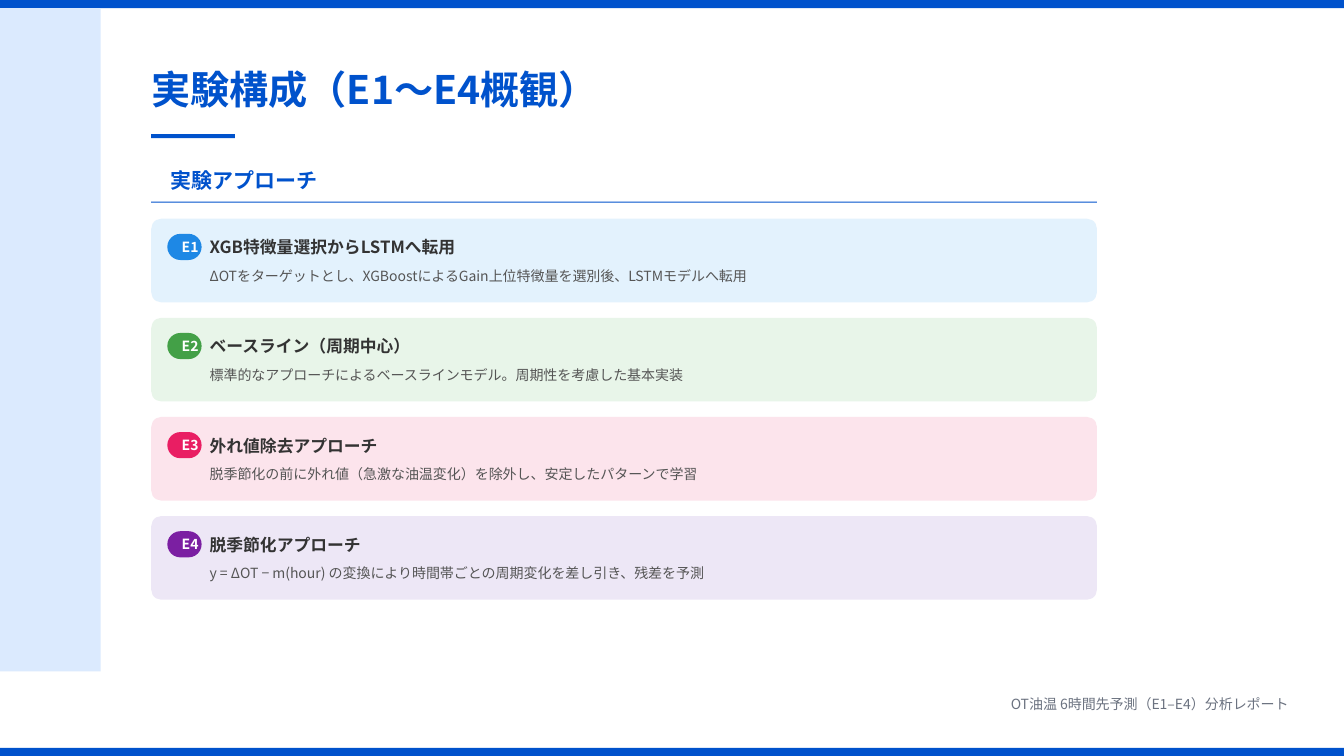
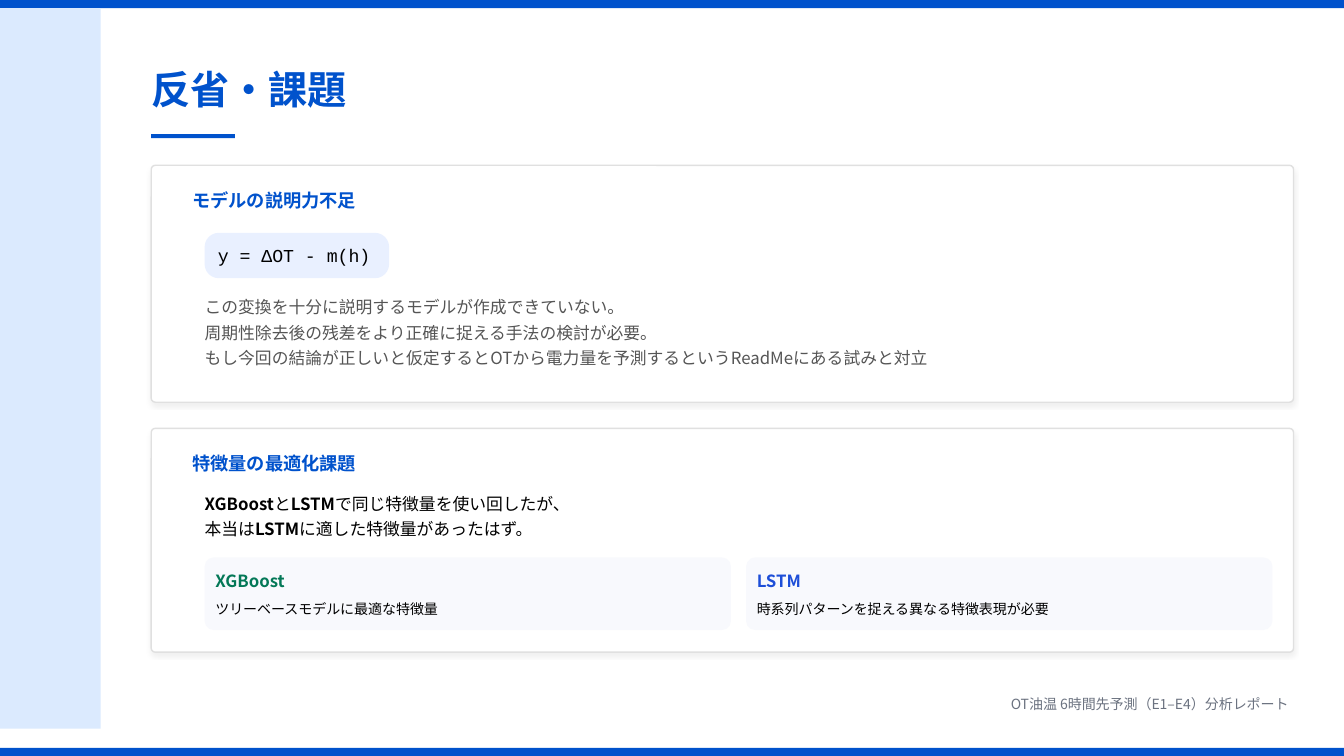
from lxml.etree import SubElement
from pptx import Presentation
from pptx.dml.color import RGBColor
from pptx.enum.shapes import MSO_SHAPE as Shape
from pptx.enum.text import MSO_ANCHOR as Anchor, PP_ALIGN as Align
from pptx.oxml.ns import qn
from pptx.util import Inches, Pt

WIDTH, HEIGHT = 13.33, 7.5
BAND, LEFT = 0.08, 1.5
BLUE, PALE_BLUE, GRAY, BLACK, WHITE = "0052CC", "DBEAFE", "555555", "000000", "FFFFFF"
SANS, MONO = "Noto Sans CJK JP", "Courier New"
FOOTER = "OT油温 6時間先予測（E1–E4）分析レポート"

EXPERIMENTS = [
    ("E1", "XGB特徴量選択からLSTMへ転用",
     "ΔOTをターゲットとし、XGBoostによるGain上位特徴量を選別後、LSTMモデルへ転用", "E3F2FD", "1E88E5"),
    ("E2", "ベースライン（周期中心）",
     "標準的なアプローチによるベースラインモデル。周期性を考慮した基本実装", "E8F5E9", "43A047"),
    ("E3", "外れ値除去アプローチ",
     "脱季節化の前に外れ値（急激な油温変化）を除外し、安定したパターンで学習", "FCE4EC", "E91E63"),
    ("E4", "脱季節化アプローチ",
     "y = ΔOT − m(hour) の変換により時間帯ごとの周期変化を差し引き、残差を予測", "EDE7F6", "7B1FA2"),
]
ISSUES = [("モデルの説明力不足", 1.64, 2.35), ("特徴量の最適化課題", 4.25, 2.22)]
FORMULA = "y = ΔOT - m(h)"
LIMITS = [
    "この変換を十分に説明するモデルが作成できていない。",
    "周期性除去後の残差をより正確に捉える手法の検討が必要。",
    "もし今回の結論が正しいと仮定するとOTから電力量を予測するというReadMeにある試みと対立",
]
FEATURE_NOTES = [
    [("XGBoost", True), ("と", False), ("LSTM", True), ("で同じ特徴量を使い回したが、", False)],
    [("本当は", False), ("LSTM", True), ("に適した特徴量があったはず。", False)],
]
MODELS = [
    ("XGBoost", "ツリーベースモデルに最適な特徴量", "047857"),
    ("LSTM", "時系列パターンを捉える異なる特徴表現が必要", "1D4ED8"),
]


def color(value):
    """Turn a hex string into a colour."""
    return RGBColor.from_string(value)


def add_box(page, left, top, width, height, fill, radius=0):
    """Add a plain filled rectangle, rounded by a radius in inches."""
    kind = Shape.ROUNDED_RECTANGLE if radius else Shape.RECTANGLE
    box = page.shapes.add_shape(kind, Inches(left), Inches(top), Inches(width), Inches(height))
    if radius:
        box.adjustments[0] = radius / min(width, height)
    box.shadow.inherit = False
    box.fill.solid()
    box.fill.fore_color.rgb = color(fill)
    box.line.fill.background()
    return box


def write(box, paras, inset=0, anchor=Anchor.MIDDLE):
    """Fill a shape with (content, style) paragraphs; content is text or (text, bold) runs."""
    frame = box.text_frame
    frame.word_wrap = True
    frame.vertical_anchor = anchor
    frame.margin_left = Inches(inset)
    frame.margin_right = frame.margin_top = frame.margin_bottom = 0
    for index, (content, style) in enumerate(paras):
        para = frame.add_paragraph() if index else frame.paragraphs[0]
        para.alignment = style.get("align", Align.LEFT)
        para.space_after = Pt(style.get("after", 0))
        if "leading" in style:
            para.line_spacing = Pt(style["leading"])
        font = para.font
        font.size = Pt(style["size"])
        font.name = style.get("name", SANS)
        font.color.rgb = color(style["ink"])
        SubElement(para._p.pPr.find(qn("a:defRPr")), qn("a:ea"), typeface=SANS)
        if isinstance(content, str):
            font.bold = style.get("bold", False)
            para.add_run().text = content
        else:
            for text, bold in content:
                span = para.add_run()
                span.text = text
                span.font.bold = bold


def add_text(page, left, top, width, height, paras, anchor=Anchor.MIDDLE):
    """Add a text box without margins."""
    box = page.shapes.add_textbox(Inches(left), Inches(top), Inches(width), Inches(height))
    write(box, paras, anchor=anchor)


def add_soft_shadow(box):
    """Give a shape a faint shadow below it."""
    effects = box._element.spPr.find(qn("a:effectLst"))
    shadow = SubElement(effects, qn("a:outerShdw"), blurRad=str(Pt(3)), dist=str(Pt(2)),
                        dir="5400000", algn="ctr", rotWithShape="0")
    tint = SubElement(shadow, qn("a:srgbClr"), val=BLACK)
    SubElement(tint, qn("a:alpha"), val="5000")


def add_page(deck, title, sidebar_height):
    """Add a slide with bands, sidebar, underlined title and footer."""
    page = deck.slides.add_slide(deck.slide_layouts[6])
    for top in (0, HEIGHT - BAND):
        add_box(page, 0, top, WIDTH, BAND, BLUE)
    add_box(page, 0, BAND, 1, sidebar_height, PALE_BLUE)
    add_text(page, LEFT, 0.6, 9, 0.57, [(title, dict(size=28, ink=BLUE, bold=True))])
    add_box(page, LEFT, 1.33, 0.83, 0.04, BLUE)
    add_text(page, 8.78, 6.88, 4, 0.21,
             [(FOOTER, dict(size=10, ink="6B7280", align=Align.RIGHT))])
    return page


def build_experiments(deck):
    """Build the overview of the four experiments."""
    page = add_page(deck, "実験構成（E1～E4概観）", 6.58)
    width, height = 9.38, 0.83
    first, last = 2.17, 5.12
    pitch = (last - first) / (len(EXPERIMENTS) - 1)
    add_box(page, LEFT, 2, width, 0.01, BLUE)
    add_text(page, 1.69, 1.63, 4, 0.31,
             [("実験アプローチ", dict(size=15, ink=BLUE, bold=True))])
    for index, (code, name, detail, fill, accent) in enumerate(EXPERIMENTS):
        top = first + index * pitch
        card = add_box(page, LEFT, top, width, height, fill, 0.1)
        write(card, [(name, dict(size=12, ink="333333", bold=True, after=7)),
                     (detail, dict(size=10, ink=GRAY))], inset=0.55)
        add_box(page, LEFT + 0.16, top + 0.15, 0.34, 0.26, accent, 0.13)
        add_text(page, LEFT + 0.24, top + 0.17, 0.29, 0.21,
                 [(code, dict(size=10, ink=WHITE, bold=True, align=Align.CENTER))])


def build_issues(deck):
    """Build the reflections and open issues."""
    page = add_page(deck, "反省・課題", 7.15)
    for heading, top, height in ISSUES:
        panel = add_box(page, LEFT, top, 11.33, height, WHITE, 0.04)
        panel.line.color.rgb = color("E0E0E0")
        panel.line.width = Pt(1)
        add_soft_shadow(panel)
        add_text(page, 1.91, top + 0.21, 5, 0.27,
                 [(heading, dict(size=13, ink=BLUE, bold=True))])
    inner = 2.03
    formula = add_box(page, inner, 2.31, 1.83, 0.45, "E9F0FF", 0.14)
    write(formula, [(FORMULA, dict(size=13, ink=BLACK, name=MONO))], inset=0.09)
    body = dict(size=12, leading=15, after=3)
    for top, height, lines, ink in ((2.94, 0.91, LIMITS, GRAY), (4.89, 0.5, FEATURE_NOTES, BLACK)):
        add_text(page, inner, top, 7.3, height,
                 [(line, dict(body, ink=ink)) for line in lines], Anchor.TOP)
    width, gap = 5.22, 0.15
    for index, (name, detail, accent) in enumerate(MODELS):
        card = add_box(page, inner + index * (width + gap), 5.53, width, 0.72, "F8F9FD", 0.09)
        write(card, [(name, dict(size=12, ink=accent, bold=True, after=7)),
                     (detail, dict(size=10, ink=BLACK))], inset=0.08)


def main():
    """Build and save the deck."""
    deck = Presentation()
    deck.slide_width, deck.slide_height = Inches(WIDTH), Inches(HEIGHT)
    build_experiments(deck)
    build_issues(deck)
    deck.save("out.pptx")


if __name__ == "__main__":
    main()
